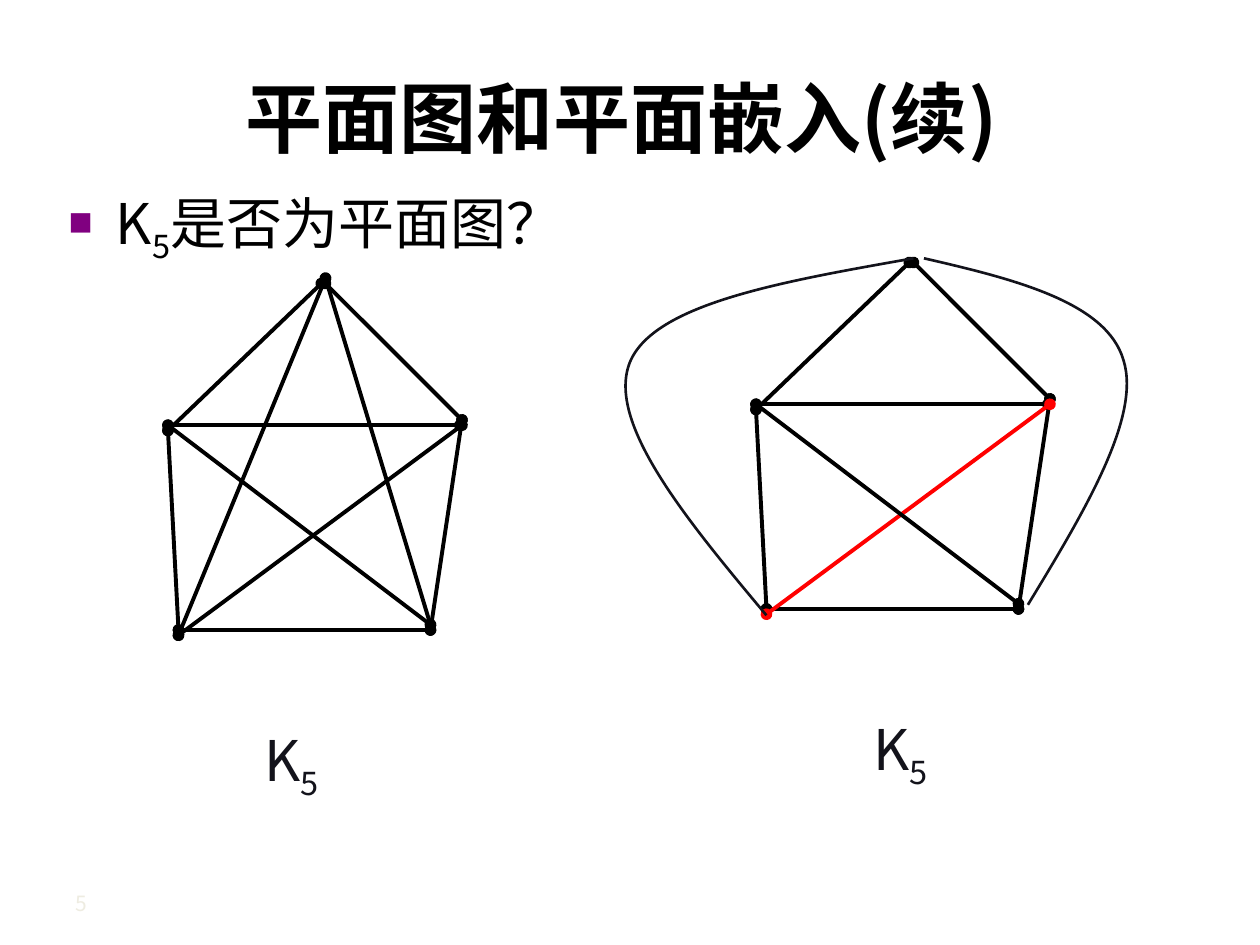
from dataclasses import dataclass
from lxml.etree import SubElement
from pptx import Presentation
from pptx.dml.color import RGBColor as RGB
from pptx.enum.shapes import MSO_CONNECTOR as CONN
from pptx.enum.text import MSO_ANCHOR as ANCHOR, PP_ALIGN as ALIGN
from pptx.oxml.ns import qn
from pptx.util import Inches, Pt


@dataclass(frozen=True)
class Theme:
    font: str = "Noto Sans CJK SC"
    black: str = "000000"
    ink: str = "13131B"
    red: str = "FF0000"
    bullet: str = "800080"
    pale: str = "EEECE1"
    title: int = 44
    body: int = 32
    number: int = 12
    edge: float = 2.25
    curve: float = 1.5


T = Theme()
COLS, ROWS = 120, 90  # square grid, twelve units to the inch
UNIT = Inches(10) / COLS

# K5 edges as (column, row) ends; each graph draws its own selection
OUTER = [((31, 27), (44, 40)), ((16, 41), (30.6, 27)), ((16, 41), (17, 60)),
         ((44, 40), (41, 60)), ((17, 60), (41, 60))]
ACROSS = ((16, 40.5), (43.8, 40.5))
RISING = ((17, 60.5), (44, 40.5))
FALLING = ((16, 40.5), (41, 59.5))
TOP_RIGHT = ((31, 26.5), (41, 59.5))
TOP_LEFT = ((31, 26.5), (17, 60.5))
SHIFT = (56, -2)  # from the left graph to the right one

# Detours round the right graph: start, then two cubic segments
DETOURS = [
    [(87, 24.6), (74.6, 26.8), (62.3, 28.9), (60, 34.5),
     (57.7, 40.2), (65.3, 49.4), (73, 58.6)],
    [(88, 24.6), (96.7, 26.6), (105.4, 28.8), (107, 34.3),
     (108.7, 39.7), (103.3, 48.7), (97.9, 57.6)],
]


def grid(*values):
    return [round(v * UNIT) for v in values]


def add_text(shapes, box, runs, size, color, bold=False,
             align=ALIGN.LEFT, anchor=ANCHOR.TOP):
    """Place runs of (text, baseline shift in percent); return the paragraph."""
    tf = shapes.add_textbox(*grid(*box)).text_frame
    tf.word_wrap = True
    tf.vertical_anchor = anchor
    p = tf.paragraphs[0]
    p.alignment = align
    for text, shift in runs:
        r = p.add_run()
        r.text = text
        r.font.size, r.font.bold, r.font.name = Pt(size), bold, T.font
        r.font.color.rgb = RGB.from_string(color)
        rpr = r.font._element
        SubElement(rpr, qn("a:ea")).set("typeface", T.font)
        if shift:
            rpr.set("baseline", str(shift * 1000))
    return p


def add_bullet(p, indent):
    ppr = p._p.get_or_add_pPr()
    ppr.set("marL", str(Inches(indent)))
    ppr.set("indent", str(-Inches(indent)))
    color = SubElement(ppr, qn("a:buClr"))
    SubElement(color, qn("a:srgbClr")).set("val", T.bullet)
    SubElement(ppr, qn("a:buSzPct")).set("val", "60000")
    SubElement(ppr, qn("a:buChar")).set("char", "■")


def add_edge(shapes, edge, shift=(0, 0), color=T.black):
    """Draw a straight edge with a round vertex at both ends."""
    ends = [v + d for point in edge for v, d in zip(point, shift)]
    s = shapes.add_connector(CONN.STRAIGHT, *grid(*ends))
    s.line.color.rgb = RGB.from_string(color)
    s.line.width = Pt(T.edge)
    ln = s.line._get_or_add_ln()
    for end in ("a:headEnd", "a:tailEnd"):
        SubElement(ln, qn(end)).set("type", "oval")
    SubElement(s._element.spPr, qn("a:effectLst"))


def add_curve(shapes, points):
    """Draw an open path whose points after the first form cubic triples."""
    start, *rest = [grid(*point) for point in points]
    builder = shapes.build_freeform(*start)
    builder.add_line_segments(rest, close=False)
    s = builder.convert_to_shape()
    steps = list(s._element.iter(qn("a:lnTo")))
    path = steps[0].getparent()
    for i in range(0, len(steps), 3):
        cubic = SubElement(path, qn("a:cubicBezTo"))
        for step in steps[i:i + 3]:
            cubic.append(step[0])
            path.remove(step)
    s.fill.background()
    s.line.color.rgb = RGB.from_string(T.ink)
    s.line.width = Pt(T.curve)
    s.shadow.inherit = False


def add_label(shapes, col, row):
    add_text(shapes, (col, row, 9, 7.7), [("K", 0), ("5", -25)], T.body, T.ink)


def main():
    prs = Presentation()
    prs.slide_width, prs.slide_height = grid(COLS, ROWS)
    slide = prs.slides.add_slide(prs.slide_layouts[6])

    # Title
    add_text(slide.shapes, (6, 3.6, 108, 15), [("平面图和平面嵌入(续) ", 0)],
             T.title, T.black, True, ALIGN.CENTER, ANCHOR.MIDDLE)

    # Left: K5 with straight edges
    left = slide.shapes.add_group_shape().shapes
    for edge in [TOP_RIGHT, *OUTER, ACROSS, TOP_LEFT, RISING, FALLING]:
        add_edge(left, edge)
    add_label(left, 24, 68.5)

    # Right: K5 with two edges led round the outside
    right = slide.shapes.add_group_shape().shapes
    for edge in [*OUTER, ACROSS, RISING, FALLING]:
        add_edge(right, edge, SHIFT, T.red if edge is RISING else T.black)
    for points in DETOURS:
        add_curve(right, points)
    add_label(right, 82, 67.5)

    # Question
    p = add_text(slide.shapes, (5.3, 17.4, 112, 7.6),
                 [("K", 0), ("5", -25), ("是否为平面图？", 0)],
                 T.body, T.black, align=ALIGN.JUSTIFY)
    add_bullet(p, 0.38)

    # Slide number
    add_text(slide.shapes, (6, 84.2, 12, 4), [("5", 0)], T.number, T.pale)

    prs.save("out.pptx")


if __name__ == "__main__":
    main()
